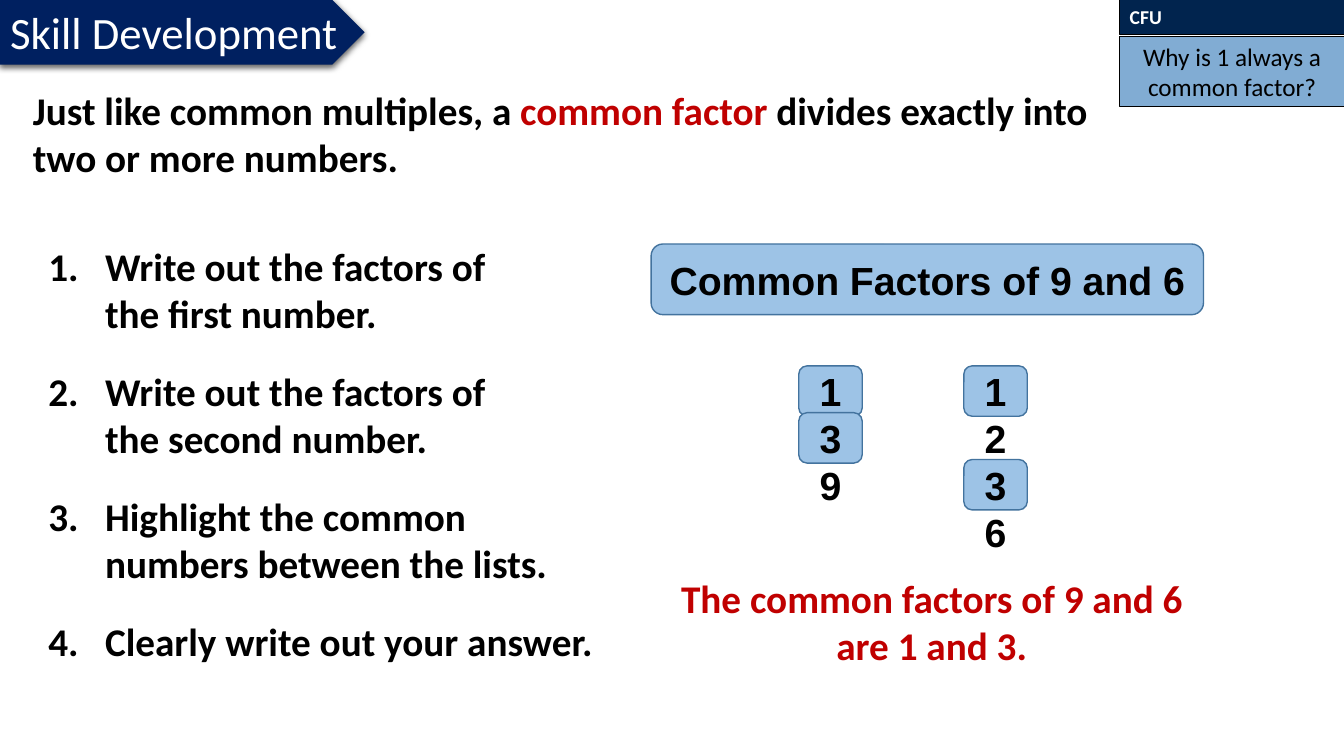
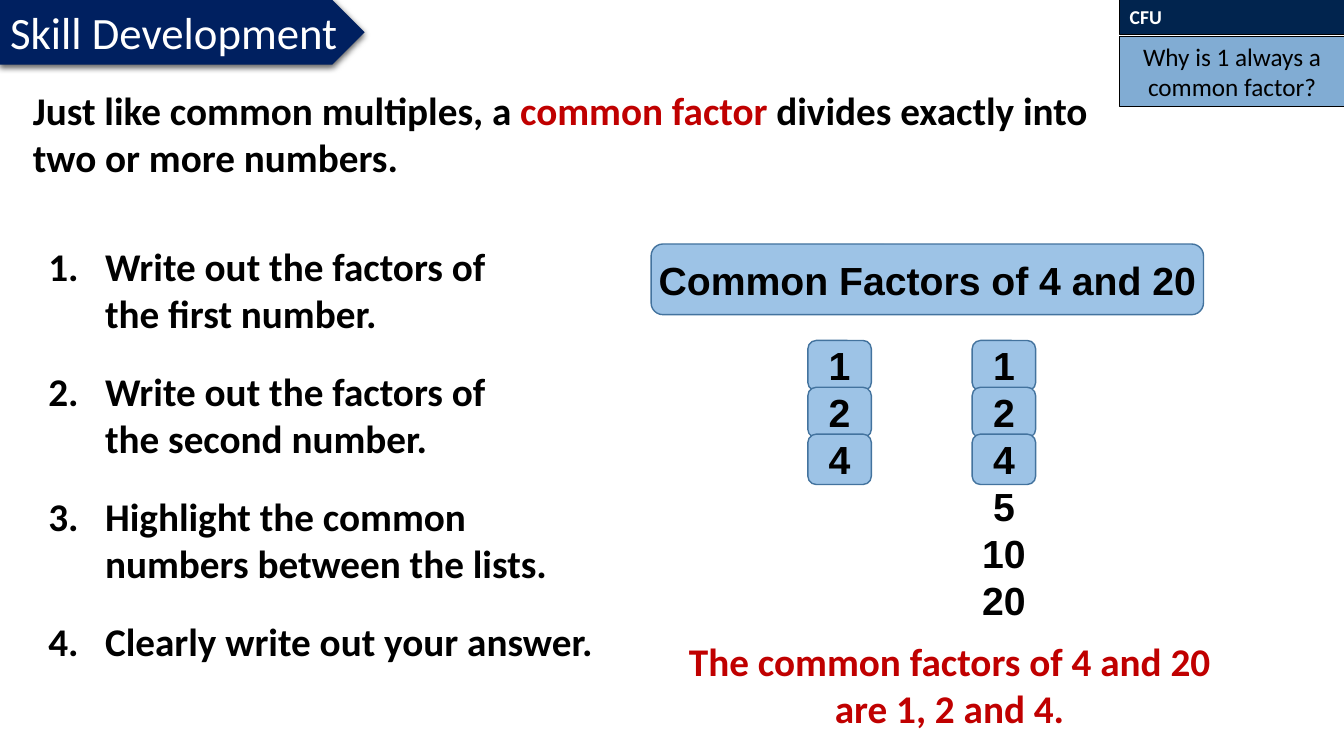
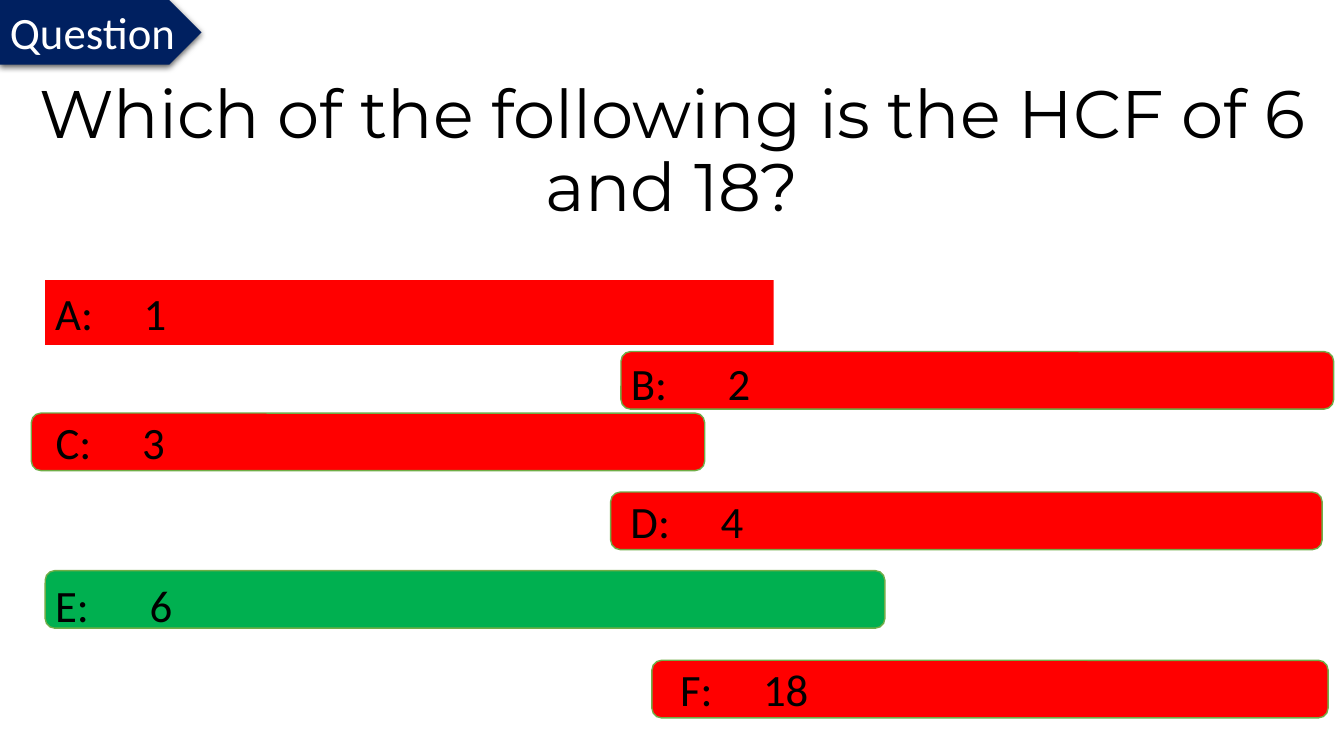
from dataclasses import dataclass

from lxml.etree import SubElement
from pptx import Presentation
from pptx.dml.color import RGBColor
from pptx.enum.shapes import MSO_SHAPE as Preset
from pptx.enum.text import MSO_ANCHOR as Anchor, MSO_AUTO_SIZE as AutoSize, PP_ALIGN as Align
from pptx.oxml.ns import qn
from pptx.util import Cm, Pt

BLACK = RGBColor(0x00, 0x00, 0x00)
WHITE = RGBColor(0xFF, 0xFF, 0xFF)
NAVY = RGBColor(0x00, 0x20, 0x60)
DARK_BLUE = RGBColor(0x01, 0x24, 0x4E)
MID_BLUE = RGBColor(0x2E, 0x75, 0xB6)
LIGHT_BLUE = RGBColor(0x9D, 0xC3, 0xE6)
EDGE_BLUE = RGBColor(0x43, 0x73, 0x9E)
DARK_RED = RGBColor(0xC0, 0x00, 0x00)
RED = RGBColor(0xFF, 0x00, 0x00)
GREEN = RGBColor(0x00, 0xB0, 0x50)
EDGE_GREEN = RGBColor(0x70, 0xAD, 0x47)

TITLE_ONLY = 5
BANNER_HEIGHT = 1.63
ROW_PITCH = 1.18


@dataclass(frozen=True)
class Style:
    size: float
    color: RGBColor = BLACK
    bold: bool = False
    font: str = "Calibri"
    align: Align = Align.LEFT
    anchor: Anchor = Anchor.TOP


@dataclass(frozen=True)
class Box:
    left: float
    top: float
    width: float
    height: float

    def lengths(self) -> tuple:
        return Cm(self.left), Cm(self.top), Cm(self.width), Cm(self.height)


@dataclass(frozen=True)
class Step:
    text: str
    width: float


@dataclass(frozen=True)
class FactorColumn:
    left: float
    factors: tuple


@dataclass(frozen=True)
class Example:
    heading: str
    columns_top: float
    columns: tuple
    common: tuple
    answer: str
    answer_box: Box


@dataclass(frozen=True)
class Choice:
    letter: str
    value: str
    box: Box
    indent: float
    tab: float
    drop: float = 0
    fill: RGBColor = RED
    rounded: bool = True


BANNER = Style(32, WHITE)
BODY = Style(28, bold=True)
ANSWER = Style(28, DARK_RED, bold=True, align=Align.CENTER)
FACTORS = Style(28, bold=True, font="Arial", align=Align.CENTER)
HEADING = Style(28, bold=True, font="Arial", align=Align.CENTER, anchor=Anchor.MIDDLE)
CHECK_LABEL = Style(14, WHITE, bold=True)
CHECK_TEXT = Style(18, align=Align.CENTER, anchor=Anchor.MIDDLE)
QUESTION = Style(48, font="Montserrat", align=Align.CENTER)
CHOICE = Style(32, anchor=Anchor.MIDDLE)

INTRO = ("Just like common multiples, a ", "common factor",
         " divides exactly into two or more numbers.")
STEPS = (
    Step("Write out the factors of the first number.", 12.7),
    Step("Write out the factors of the second number.", 12.95),
    Step("Highlight the common numbers between the lists.", 13.54),
    Step("Clearly write out your answer.", 14.86),
)
EXAMPLES = (
    Example("Common Factors of 9 and 6", 9.12,
            (FactorColumn(18.34, (1, 3, 9)), FactorColumn(22.5, (1, 2, 3, 6))),
            (1, 3), "The common factors of 9 and 6 are 1 and 3.",
            Box(16.71, 14.35, 13.54, 2.64)),
    Example("Common Factors of 4 and 20", 8.48,
            (FactorColumn(18.57, (1, 2, 4)), FactorColumn(22.71, (1, 2, 4, 5, 10, 20))),
            (1, 2, 4), "The common factors of 4 and 20 are 1, 2 and 4.",
            Box(16.97, 15.93, 13.92, 2.64)),
)
CHOICES = (
    Choice("A", "1", Box(1.14, 7.06, 18.36, 1.63), 0.25, 2.23, rounded=False),
    Choice("B", "2", Box(15.65, 8.86, 17.96, 1.45), 0.18, 2.44, drop=0.06),
    Choice("C", "3", Box(0.79, 10.41, 16.97, 1.45), 0.54, 2.18),
    Choice("D", "4", Box(15.39, 12.4, 17.93, 1.45), 0.43, 2.27),
    Choice("E", "6", Box(1.14, 14.38, 21.16, 1.45), 0.18, 2.38, drop=0.12, fill=GREEN),
    Choice("F", "18", Box(16.43, 16.64, 17.04, 1.45), 0.64, 2.09),
)


# Text and shape helpers
def format_text(text_frame, style: Style, wrap: bool = True) -> None:
    text_frame.auto_size = AutoSize.NONE
    text_frame.word_wrap = wrap
    text_frame.vertical_anchor = style.anchor
    for paragraph in text_frame.paragraphs:
        paragraph.alignment = style.align
        for run in paragraph.runs:
            run.font.name = style.font
            run.font.size = Pt(style.size)
            run.font.bold = style.bold
            run.font.color.rgb = style.color


def add_text(slide, box: Box, text: str, style: Style):
    text_frame = slide.shapes.add_textbox(*box.lengths()).text_frame
    text_frame.text = text
    format_text(text_frame, style)
    return text_frame


def add_block(slide, preset: Preset, box: Box, fill: RGBColor,
              line: RGBColor | None = None, line_width: float = 1):
    shape = slide.shapes.add_shape(preset, *box.lengths())
    shape.shadow.inherit = False
    shape.fill.solid()
    shape.fill.fore_color.rgb = fill
    if line is None:
        shape.line.fill.background()
    else:
        shape.line.color.rgb = line
        shape.line.width = Pt(line_width)
    return shape


def add_tile(slide, box: Box):
    return add_block(slide, Preset.ROUNDED_RECTANGLE, box, LIGHT_BLUE, EDGE_BLUE)


def place_title(slide, box: Box, text: str, style: Style):
    title = slide.shapes.title
    title.left, title.top, title.width, title.height = box.lengths()
    title.text_frame.text = text
    format_text(title.text_frame, style)
    return title


def add_alpha(color_element, percent: int) -> None:
    SubElement(color_element, qn("a:alpha"), val=str(percent * 1000))


def add_banner(slide, width: float):
    banner = add_block(slide, Preset.PENTAGON, Box(0, 0, width, BANNER_HEIGHT), NAVY)
    effects = banner.element.spPr.find(qn("a:effectLst"))
    shadow = SubElement(effects, qn("a:outerShdw"), blurRad=str(Pt(4.5)),
                        dist=str(Pt(1.5)), dir="5400000", rotWithShape="0")
    add_alpha(SubElement(shadow, qn("a:srgbClr"), val=str(BLACK)), 63)
    return banner


# Parts of the worked examples
def add_check(slide) -> None:
    label = add_block(slide, Preset.RECTANGLE, Box(28.22, 0, 5.66, 0.86), DARK_BLUE, BLACK, 0.75)
    label.text_frame.text = "CFU"
    format_text(label.text_frame, CHECK_LABEL)
    check = add_block(slide, Preset.RECTANGLE, Box(28.22, 0.91, 5.66, 1.78), MID_BLUE, BLACK, 0.75)
    add_alpha(check.element.spPr.find(f"{qn('a:solidFill')}/{qn('a:srgbClr')}"), 60)
    check.text_frame.text = "Why is 1 always a common factor?"
    format_text(check.text_frame, CHECK_TEXT)


def add_intro(slide) -> None:
    text_frame = add_text(slide, Box(0.58, 2.06, 27.31, 2.64), "", BODY)
    paragraph = text_frame.paragraphs[0]
    for part in INTRO:
        paragraph.add_run().text = part
    format_text(text_frame, BODY)
    paragraph.runs[1].font.color.rgb = DARK_RED


def add_steps(slide) -> None:
    for index, step in enumerate(STEPS):
        box = Box(0.97, 5.97 + 3.15 * index, step.width, 2.64)
        text_frame = add_text(slide, box, step.text, BODY)
        properties = text_frame.paragraphs[0]._p.get_or_add_pPr()
        properties.set("marL", str(Cm(1.43)))
        properties.set("indent", str(-Cm(1.43)))
        SubElement(properties, qn("a:buAutoNum"), type="arabicPeriod", startAt=str(index + 1))


def add_factors(slide, column: FactorColumn, top: float, common: tuple) -> None:
    for row, factor in enumerate(column.factors):
        if factor in common:
            add_tile(slide, Box(column.left + 1.79, top + 0.1 + ROW_PITCH * row, 1.6, 1.27))
    box = Box(column.left, top, 5.18, 0.25 + 1.2 * len(column.factors))
    text_frame = add_text(slide, box, "\n".join(map(str, column.factors)), FACTORS)
    for paragraph in text_frame.paragraphs:
        paragraph.line_spacing = Pt(33.6)


def build_example(slide, example: Example) -> None:
    banner = add_banner(slide, 9.19)
    title = place_title(slide, Box(0, 0, 9.19, BANNER_HEIGHT), "Skill Development", BANNER)
    banner.element.addnext(title.element)
    add_check(slide)
    add_intro(slide)
    add_steps(slide)

    heading = add_tile(slide, Box(16.41, 6.15, 13.92, 1.78))
    heading.text_frame.text = example.heading
    heading.text_frame.margin_left = heading.text_frame.margin_right = 0
    format_text(heading.text_frame, HEADING)

    for column in example.columns:
        add_factors(slide, column, example.columns_top, example.common)
    add_text(slide, example.answer_box, example.answer, ANSWER)


# Parts of the question
def add_choice(slide, choice: Choice) -> None:
    if choice.rounded:
        bar = add_block(slide, Preset.ROUNDED_RECTANGLE, choice.box, choice.fill, EDGE_GREEN)
    else:
        bar = add_block(slide, Preset.RECTANGLE, choice.box, choice.fill)
    text_frame = bar.text_frame
    text_frame.text = f"{choice.letter}:\t{choice.value}"
    text_frame.margin_left = Cm(choice.indent)
    text_frame.margin_top = Cm(2 * choice.drop)
    text_frame.margin_bottom = 0
    tabs = SubElement(text_frame.paragraphs[0]._p.get_or_add_pPr(), qn("a:tabLst"))
    SubElement(tabs, qn("a:tab"), pos=str(Cm(choice.tab)), algn="l")
    format_text(text_frame, CHOICE)


def build_question(slide) -> None:
    title = place_title(slide, Box(0.2, 1.9, 33.48, 3.68),
                        "Which of the following is the HCF of 6 and 18?", QUESTION)
    title.text_frame.paragraphs[0].line_spacing = 0.9
    banner = add_banner(slide, 5.08)
    banner.text_frame.text = "Question"
    format_text(banner.text_frame, BANNER, wrap=False)
    for choice in CHOICES:
        add_choice(slide, choice)


def main() -> None:
    presentation = Presentation()
    presentation.slide_width, presentation.slide_height = Cm(33.87), Cm(19.05)
    layout = presentation.slide_layouts[TITLE_ONLY]
    for example in EXAMPLES:
        build_example(presentation.slides.add_slide(layout), example)
    build_question(presentation.slides.add_slide(layout))
    presentation.save("out.pptx")


if __name__ == "__main__":
    main()
